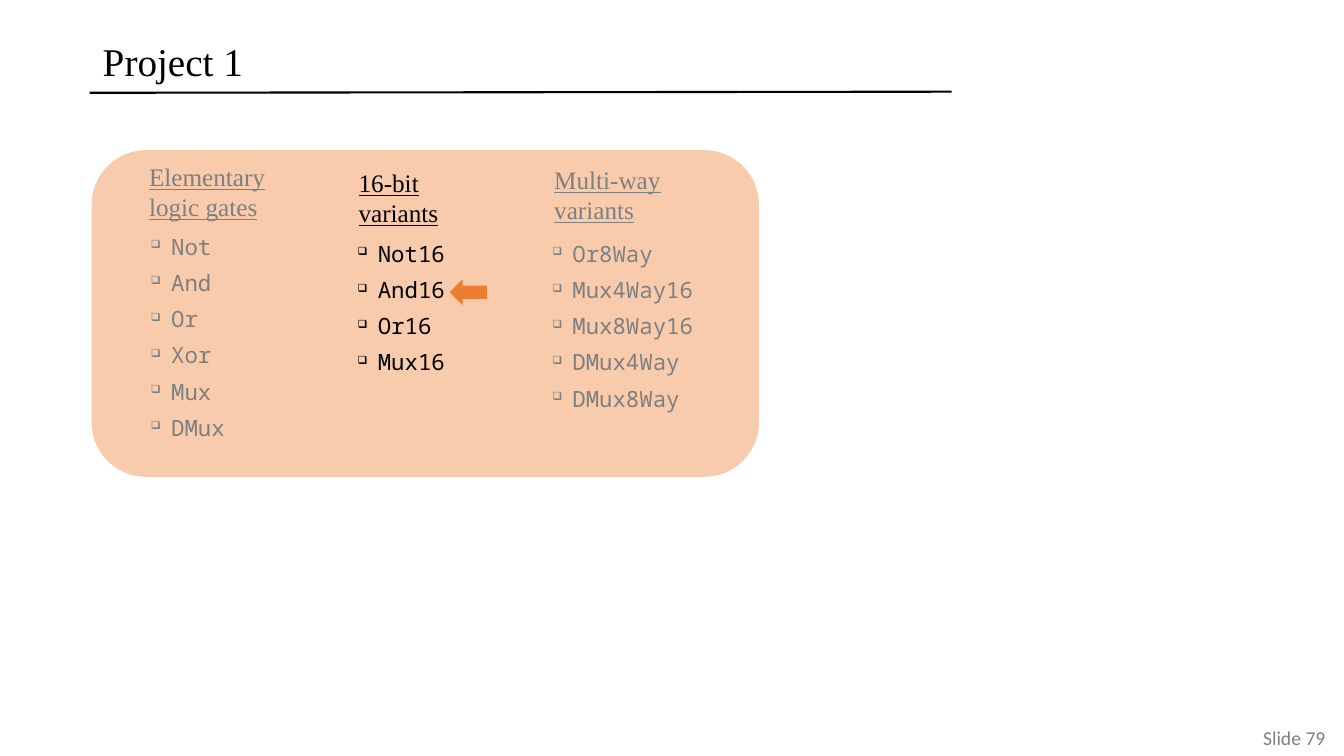
from pptx import Presentation
from pptx.dml.color import RGBColor
from pptx.enum import shapes, text
from pptx.oxml.ns import qn
from pptx.util import Pt
from lxml import etree

BLACK = RGBColor(0x00, 0x00, 0x00)
GREY = RGBColor(0x7F, 0x7F, 0x7F)
FOOTER_GREY = RGBColor(0x80, 0x80, 0x80)
PEACH = RGBColor(0xF8, 0xCB, 0xAD)
ORANGE = RGBColor(0xED, 0x7D, 0x31)
SERIF, MONO = "Times New Roman", "Noto Sans Mono"


def style(p, font, size, color, underline=None):
    for r in p.runs:
        r.font.name, r.font.size = font, Pt(size)
        r.font.color.rgb, r.font.underline = color, underline


def bullet(p):
    """Give the paragraph a half-size box bullet with a hanging indent."""
    pPr = p._p.get_or_add_pPr()
    pPr.set("marL", str(Pt(14.4)))
    pPr.set("indent", str(-Pt(14.4)))
    etree.SubElement(pPr, qn("a:buSzPct"), val="50000")
    etree.SubElement(pPr, qn("a:buChar"), char="❑")


prs = Presentation()
prs.slide_width, prs.slide_height = Pt(960), Pt(540)
s = prs.slides.add_slide(prs.slide_layouts[5])

# Title and rule
title = s.shapes.title
title.left, title.top, title.width, title.height = Pt(66.2), Pt(23), Pt(614.2), Pt(45.4)
tf = title.text_frame
tf.text = "Project 1"
tf.vertical_anchor = text.MSO_ANCHOR.MIDDLE
p = tf.paragraphs[0]
p.alignment, p.line_spacing = text.PP_ALIGN.LEFT, 0.9
style(p, SERIF, 28, BLACK)

rule = s.shapes.add_connector(shapes.MSO_CONNECTOR.STRAIGHT, Pt(64.1), Pt(66.3), Pt(679.7), Pt(65.5))
rule.line.color.rgb, rule.line.width = BLACK, Pt(1.5)
etree.SubElement(rule._element.spPr, qn("a:effectLst"))

# Panel with the three groups of gates
panel = s.shapes.add_shape(shapes.MSO_SHAPE.ROUNDED_RECTANGLE, Pt(65.5), Pt(107.3), Pt(476.6), Pt(233.3))
panel.shadow.inherit = False
panel.fill.solid()
panel.fill.fore_color.rgb = PEACH
panel.line.fill.background()

# heading, heading box, gates, list box, space before the first gate, colour
groups = [
    ("Elementary logic gates", (99.4, 111.6, 136.8, 51.1),
     ["Not", "And", "Or", "Xor", "Mux", "DMux"], (100.8, 162.7, 177.8, 185), 6.7, GREY),
    ("16-bit\vvariants", (249.1, 115.9, 103.7, 51.1),
     ["Not16", "And16", "Or16", "Mux16"], (248.4, 167.8, 102.2, 143.3), 12.7, BLACK),
    ("Multi-way\vvariants", (388.8, 113.8, 193.7, 51.1),
     ["Or8Way", "Mux4Way16", "Mux8Way16", "DMux4Way", "DMux8Way"],
     (387.4, 167.8, 133.9, 178.6), 12.7, GREY),
]
for heading, heading_box, gates, list_box, first_space, color in groups:
    tf = s.shapes.add_textbox(*map(Pt, heading_box)).text_frame
    tf.word_wrap = True
    tf.text = heading
    style(tf.paragraphs[0], SERIF, 18, color, underline=True)

    tf = s.shapes.add_textbox(*map(Pt, list_box)).text_frame
    tf.word_wrap = True
    tf.text = "\n".join(gates)
    for i, p in enumerate(tf.paragraphs):
        p.space_before = Pt(6.7 if i else first_space)
        bullet(p)
        style(p, MONO, 16, color)

# Marker for the current gate
arrow = s.shapes.add_shape(shapes.MSO_SHAPE.RIGHT_ARROW, Pt(321.1), Pt(199.4), Pt(26.6), Pt(18.7))
arrow.rotation = 180
arrow.shadow.inherit = False
arrow.fill.solid()
arrow.fill.fore_color.rgb = ORANGE
arrow.line.fill.background()

# Slide number
tf = s.shapes.add_textbox(Pt(64.8), Pt(514.8), Pt(882), Pt(24.5)).text_frame
tf.word_wrap = True
tf.margin_left = tf.margin_right = 0
tf.vertical_anchor = text.MSO_ANCHOR.MIDDLE
tf.text = "Slide 79"
p = tf.paragraphs[0]
p.alignment = text.PP_ALIGN.RIGHT
style(p, "Calibri", 14, FOOTER_GREY)

prs.save("out.pptx")
